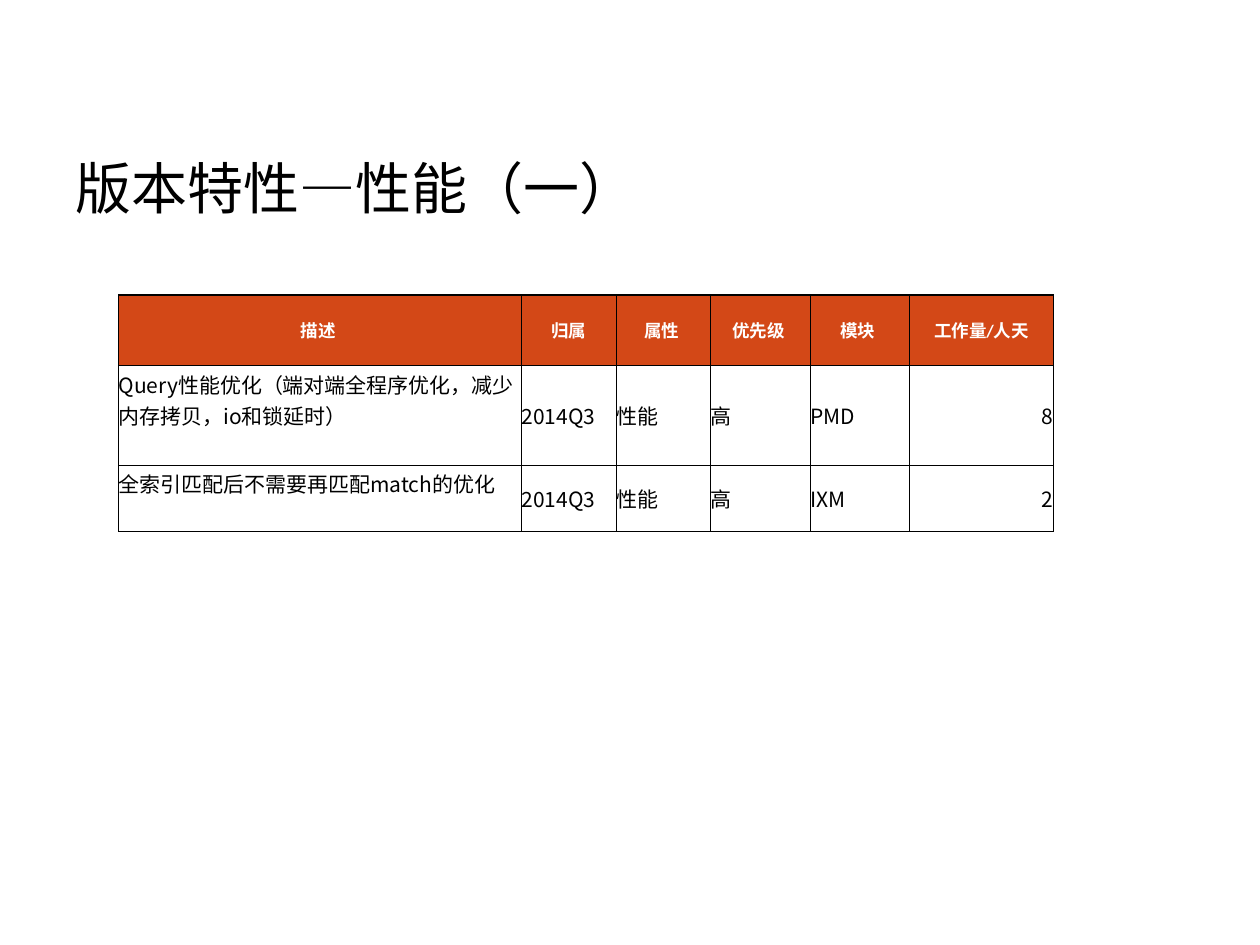
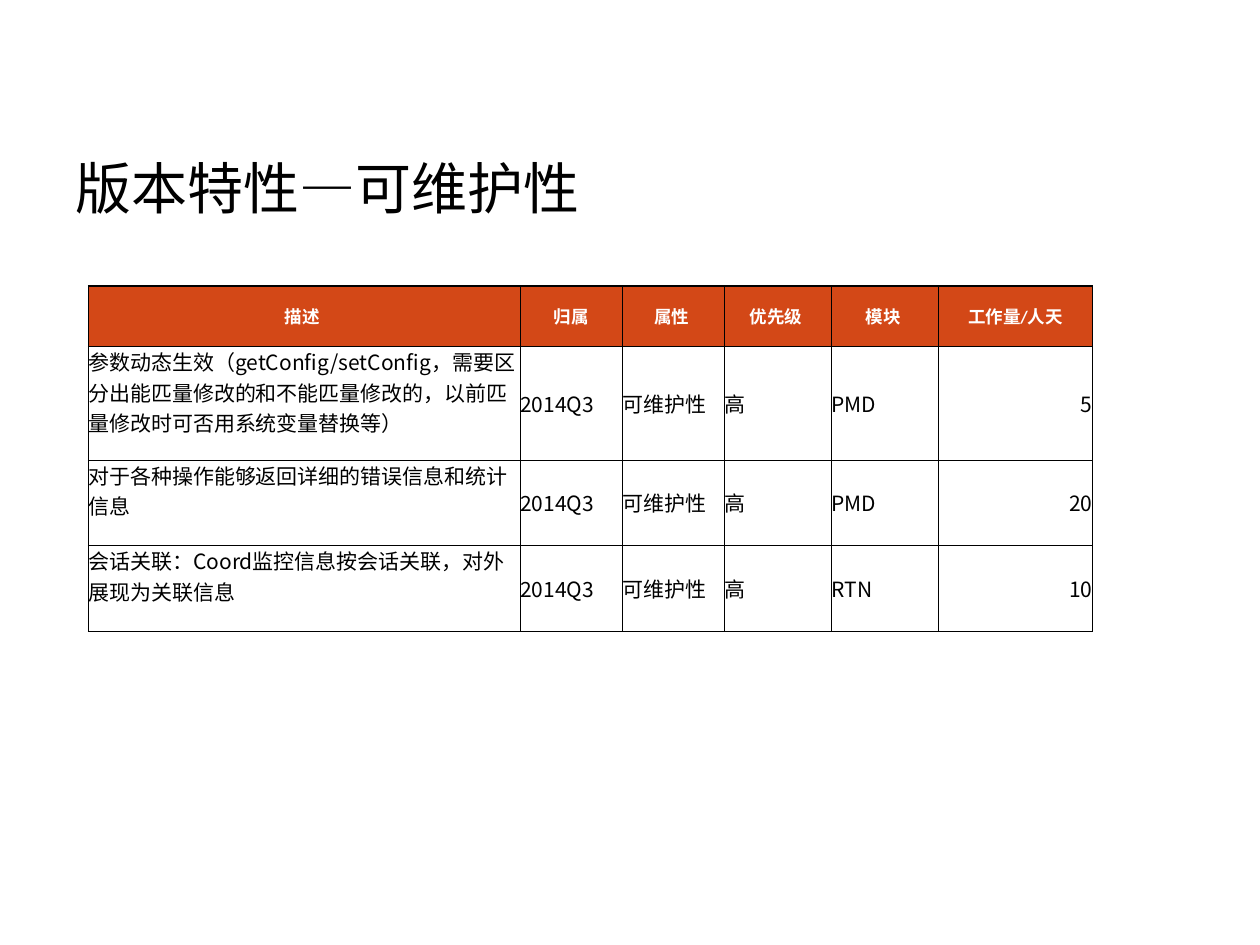
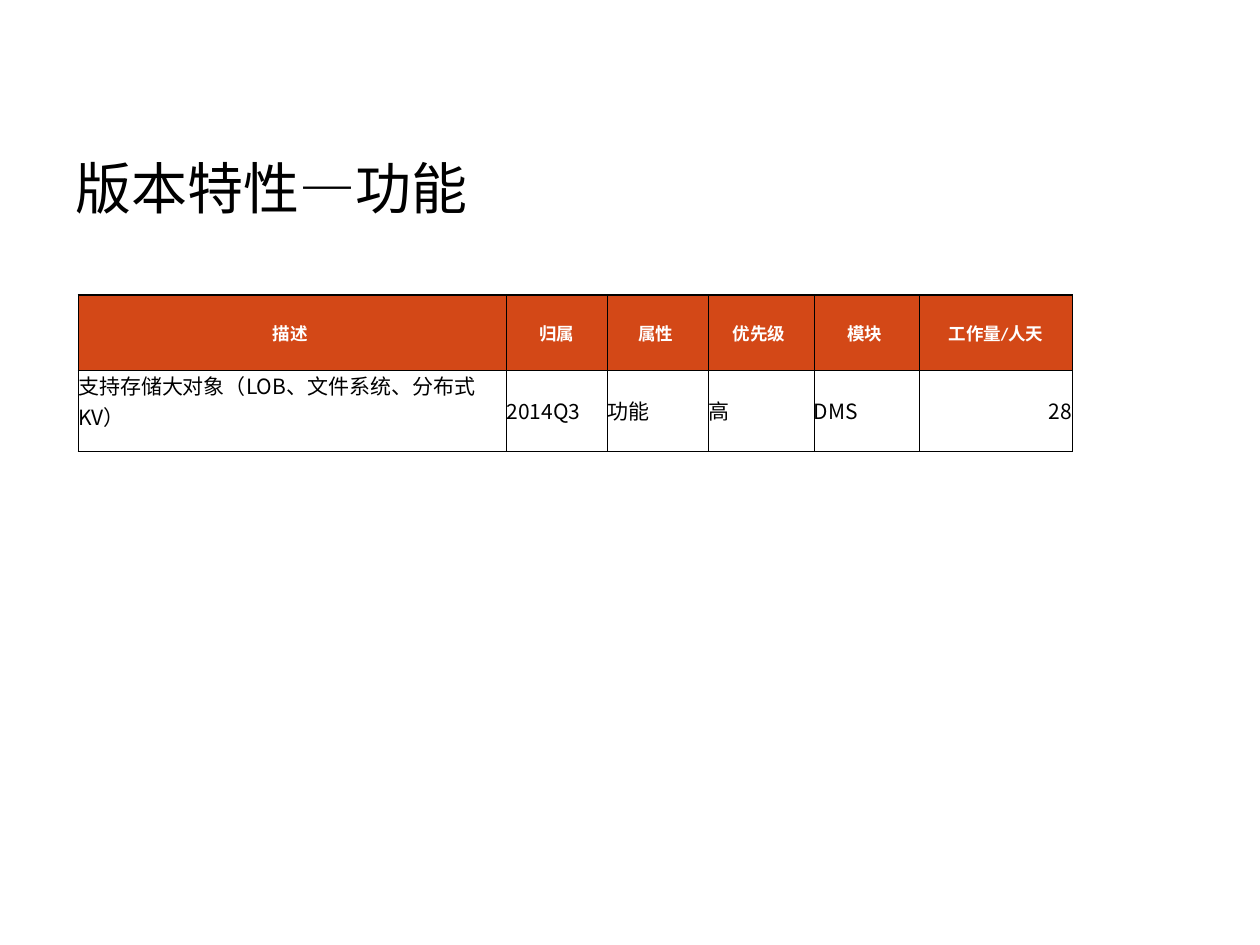
from lxml import etree
from pptx import Presentation
from pptx.dml.color import RGBColor
from pptx.enum.text import MSO_ANCHOR as Anchor, PP_ALIGN as Align
from pptx.oxml.ns import qn
from pptx.util import Inches, Pt

BLACK = RGBColor(0x00, 0x00, 0x00)
WHITE = RGBColor(0xFF, 0xFF, 0xFF)
ORANGE = RGBColor(0xD3, 0x48, 0x17)

LATIN_FONT = "Arial"
SLASH_FONT = "Calibri"
CHINESE_FONT = "Noto Sans CJK SC"

THIN, THICK = Pt(0.5), Pt(1)
DESCRIPTION_GAP = Inches(0.24)  # one text line kept free below a description

# Each heading is a list of (text, font) spans.
HEADINGS = [
    [("描述 ", LATIN_FONT)],
    [("归属", CHINESE_FONT)],
    [("属性 ", LATIN_FONT)],
    [("优先级 ", LATIN_FONT)],
    [("模块 ", LATIN_FONT)],
    [("工作量", LATIN_FONT), ("/", SLASH_FONT), ("人天", LATIN_FONT)],
]
RELEASE, PRIORITY = "2014Q3", "高"


def add_span(para, text, font_name, size, color, bold=False):
    span = para.add_run()
    span.text = text
    font = span.font
    font.name, font.size, font.bold = font_name, Pt(size), bold
    font.color.rgb = color
    east_asian = etree.SubElement(span._r.get_or_add_rPr(), qn("a:ea"))
    east_asian.set("typeface", CHINESE_FONT)


def add_title(page, text):
    box = page.shapes.add_textbox(Inches(0.5), Inches(0.86), Inches(9), Inches(1.25))
    frame = box.text_frame
    frame.word_wrap = True
    frame.vertical_anchor = Anchor.MIDDLE
    add_span(frame.paragraphs[0], text, LATIN_FONT, 32, BLACK)


def set_borders(cell, top=THIN):
    """Draw black lines on all four sides; call it before filling the cell."""
    properties = cell._tc.get_or_add_tcPr()
    for side, width in (("L", THIN), ("R", THIN), ("T", top), ("B", THIN)):
        line = etree.SubElement(properties, qn(f"a:ln{side}"), w=str(width))
        fill = etree.SubElement(line, qn("a:solidFill"))
        etree.SubElement(fill, qn("a:srgbClr"), val=str(BLACK))


def prepare_cell(cell, align, top=THIN):
    """Set borders, margins and alignment, and return the paragraph to fill."""
    set_borders(cell, top)
    cell.margin_left = cell.margin_right = cell.margin_top = cell.margin_bottom = 0
    cell.vertical_anchor = Anchor.MIDDLE
    para = cell.text_frame.paragraphs[0]
    para.alignment = align
    return para


def fill_heading(cell, spans):
    para = prepare_cell(cell, Align.CENTER, THICK)
    cell.fill.solid()
    cell.fill.fore_color.rgb = ORANGE
    for text, font_name in spans:
        add_span(para, text, font_name, 10, WHITE, bold=True)


def fill_value(cell, text, align=Align.LEFT):
    para = prepare_cell(cell, align)
    cell.fill.background()
    add_span(para, text, CHINESE_FONT, 12, BLACK)


def add_feature_table(page, left, top, widths, heights, category, features):
    """Add a table of (description, module, workload) features of one category."""
    description, label, code, workload = widths
    columns = [description, label, label, code, code, workload]
    table = page.shapes.add_table(
        len(heights), len(columns), Inches(left), Inches(top),
        Inches(sum(columns)), Inches(sum(heights))).table
    table.first_row = table.horz_banding = False
    for column, width in zip(table.columns, columns):
        column.width = Inches(width)
    for row, height in zip(table.rows, heights):
        row.height = Inches(height)

    for cell, spans in zip(table.rows[0].cells, HEADINGS):
        fill_heading(cell, spans)
    for number, (text, module, days) in enumerate(features, start=1):
        cells = list(table.rows[number].cells)
        for cell, value in zip(cells, (text, RELEASE, category, PRIORITY, module)):
            fill_value(cell, value)
        fill_value(cells[-1], str(days), Align.RIGHT)
        cells[0].margin_bottom = DESCRIPTION_GAP


def add_page(deck, title, **table):
    page = deck.slides.add_slide(deck.slide_layouts[6])
    add_title(page, title)
    add_feature_table(page, **table)


def main():
    deck = Presentation()
    deck.slide_width, deck.slide_height = Inches(10), Inches(7.5)

    add_page(
        deck, "版本特性—性能（一）", left=0.94, top=2.34,
        widths=(3.2, 0.75, 0.79, 1.14), heights=(0.56, 0.79, 0.53),
        category="性能",
        features=[
            ("Query性能优化（端对端全程序优化，减少内存拷贝，io和锁延时）", "PMD", 8),
            ("全索引匹配后不需要再匹配match的优化", "IXM", 2),
        ])
    add_page(
        deck, "版本特性—可维护性", left=0.7, top=2.27,
        widths=(3.43, 0.81, 0.85, 1.22), heights=(0.48, 0.9, 0.68, 0.68),
        category="可维护性",
        features=[
            ("参数动态生效（getConfig/setConfig，需要区分出能匹量修改的和不能匹量修改的，"
             "以前匹量修改时可否用系统变量替换等）", "PMD", 5),
            ("对于各种操作能够返回详细的错误信息和统计信息", "PMD", 20),
            ("会话关联：Coord监控信息按会话关联，对外展现为关联信息", "RTN", 10),
        ])
    add_page(
        deck, "版本特性—功能", left=0.62, top=2.34,
        widths=(3.4, 0.8, 0.84, 1.21), heights=(0.6, 0.57),
        category="功能",
        features=[("支持存储大对象（LOB、文件系统、分布式KV）", "DMS", 28)])

    deck.save("out.pptx")


if __name__ == "__main__":
    main()
